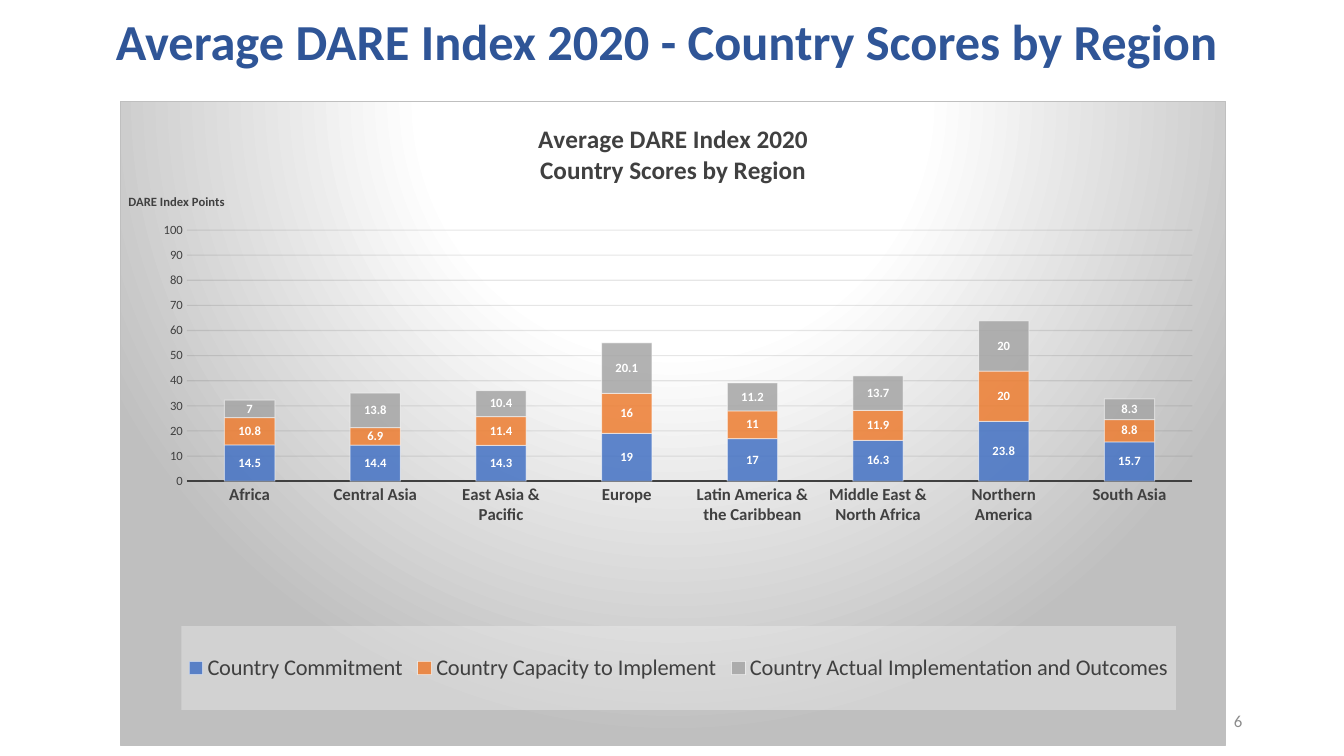
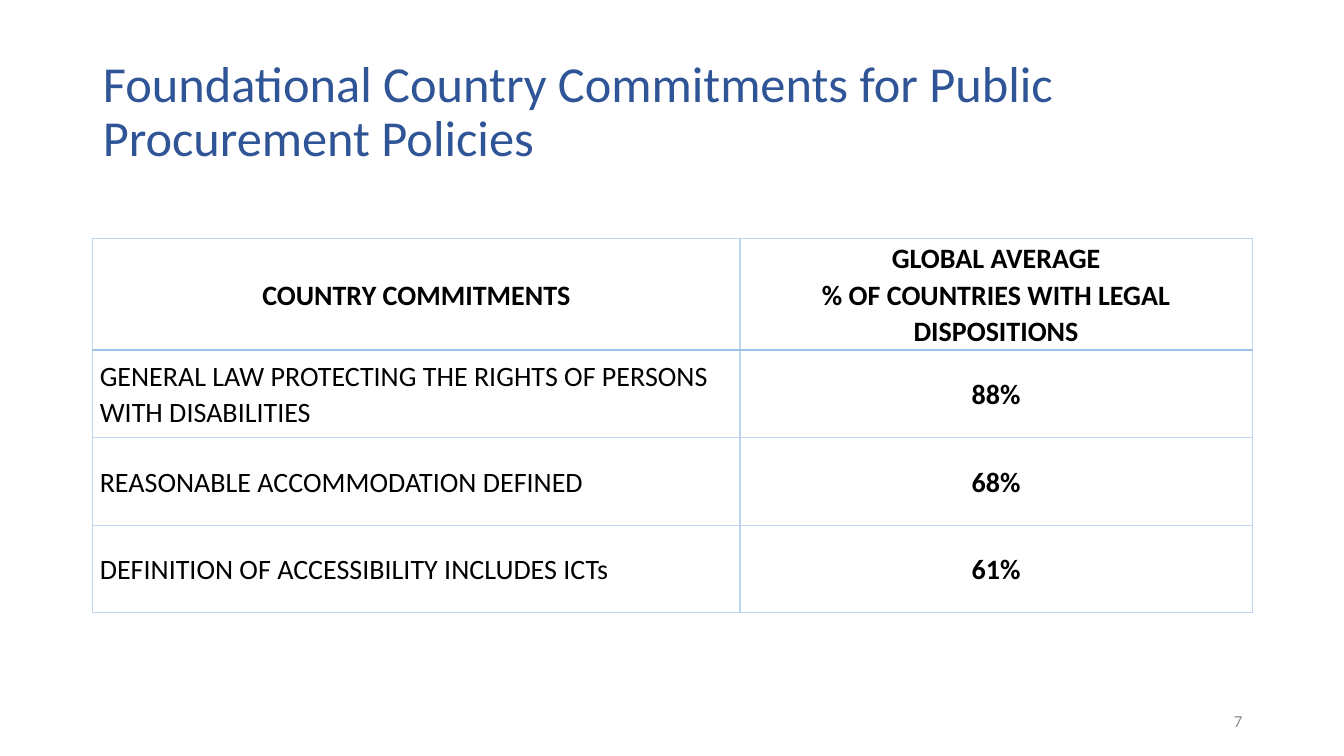
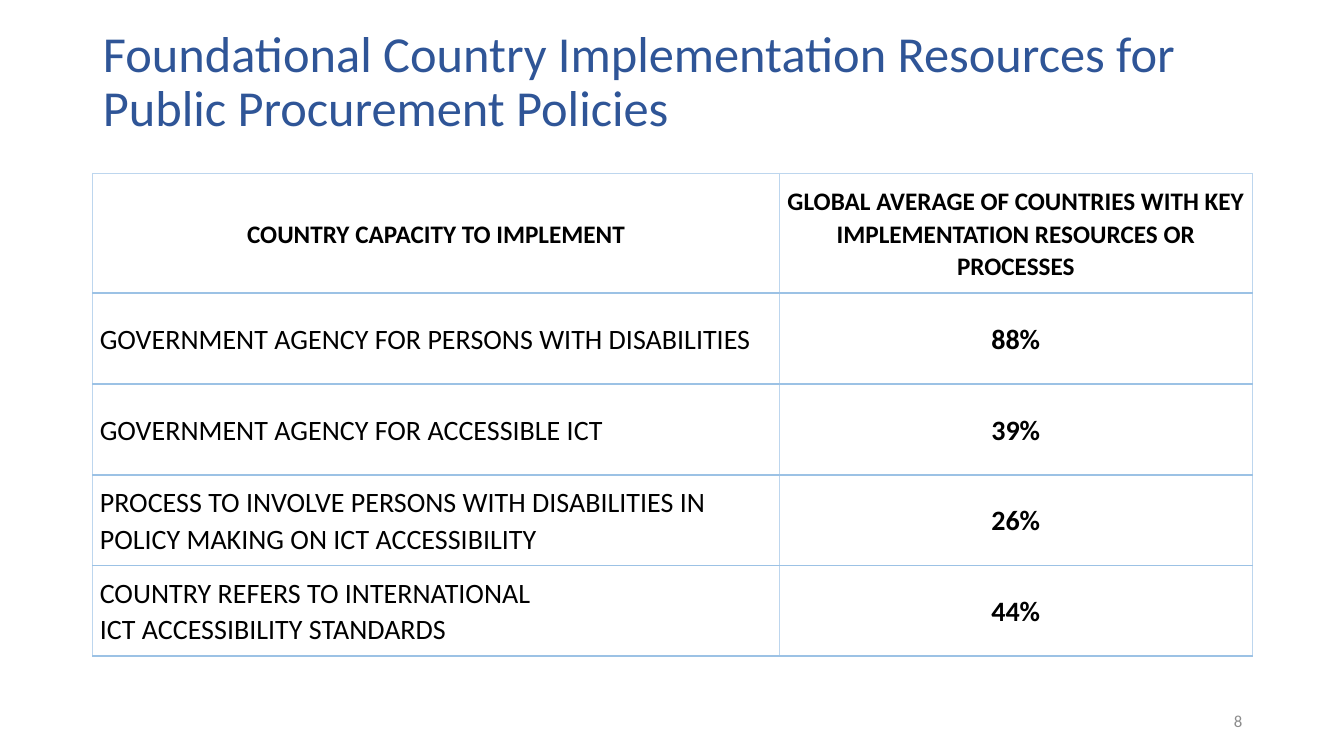
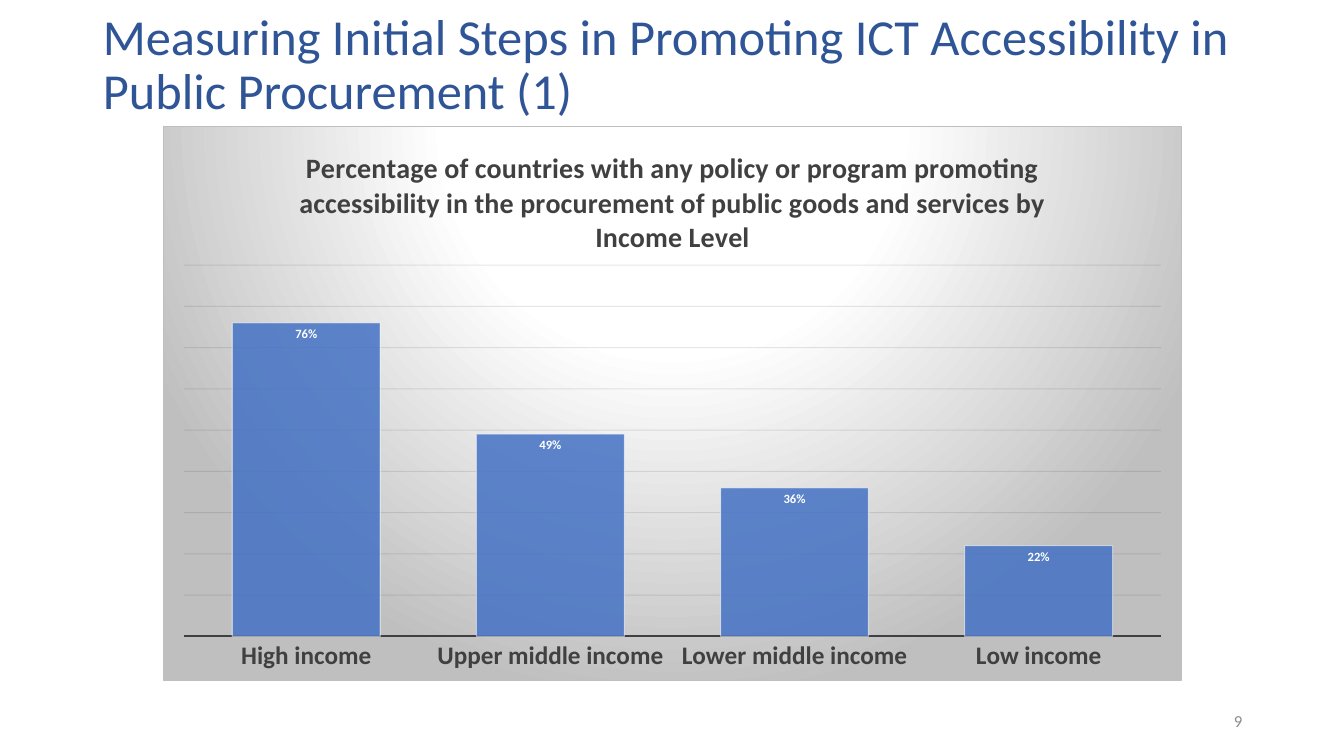
from pptx import Presentation
from pptx import util as u
from pptx.chart.data import CategoryChartData
from pptx.dml.color import RGBColor
from pptx.enum import chart as charts, text
from pptx.oxml import ns, parse_xml

Inches, Pt = u.Inches, u.Pt
FONT = "Calibri"
COLORS = {
    "title": "2F5597", "number": "8C8C8C", "black": "000000", "white": "FFFFFF",
    "chart_text": "404040", "grid": "0D0D0D", "chart_edge": "BFBFBF", "legend": "F2F2F2",
    "pale_rule": "BDD6EE", "strong_rule": "9CC2E5",
}
SERIES_COLORS = ["4472C4", "ED7D31", "A5A5A5"]
THIN_RULE, THICK_RULE = ("pale_rule", 1), ("strong_rule", 1.5)
CENTER, LEFT, RIGHT = text.PP_ALIGN.CENTER, text.PP_ALIGN.LEFT, text.PP_ALIGN.RIGHT


def rgb(name):
    return RGBColor.from_string(COLORS.get(name, name))


def style_font(font, size, color, bold=False):
    font.name, font.size, font.bold = FONT, Pt(size), bold
    font.color.rgb = rgb(color)


def style_text(frame, size, color, bold=False, align=None, spacing=None):
    for paragraph in frame.paragraphs:
        paragraph.alignment = align
        paragraph.line_spacing = spacing
        for run in paragraph.runs:
            style_font(run.font, size, color, bold)


def style_line(line, color, width):
    line.color.rgb = rgb(color)
    line.width = Pt(width)


def set_opacity(element, percent):
    for color in element.iter(ns.qn("a:srgbClr")):
        color.append(parse_xml(f'<a:alpha {ns.nsdecls("a")} val="{percent * 1000}"/>'))


def set_layout(parent, index, x, y, width=None, height=None, inner=False):
    """Place a chart part by fractions of the chart; index is its rank in the parent."""
    for old in parent.findall(ns.qn("c:layout")):
        parent.remove(old)
    parts = '<c:layoutTarget val="inner"/>' if inner else ""
    parts += '<c:xMode val="edge"/><c:yMode val="edge"/>'
    for tag, value in zip("xywh", (x, y, width, height)):
        if value is not None:
            parts += f'<c:{tag} val="{value}"/>'
    parent.insert(index, parse_xml(
        f'<c:layout {ns.nsdecls("c")}><c:manualLayout>{parts}</c:manualLayout></c:layout>'))


def set_border(cell, side, color, width):
    cell._tc.get_or_add_tcPr().append(parse_xml(
        f'<a:ln{side} {ns.nsdecls("a")} w="{Pt(width)}"><a:solidFill>'
        f'<a:srgbClr val="{COLORS[color]}"/></a:solidFill></a:ln{side}>'))


class Deck:
    def __init__(self):
        self.presentation = Presentation()
        self.presentation.slide_width = Inches(13.33)
        self.presentation.slide_height = Inches(7.5)
        self.slide = None

    def add_slide(self, title, number, top, height, left=0.92, width=11.5,
                  align=LEFT, bold=False):
        self.slide = self.presentation.slides.add_slide(self.presentation.slide_layouts[5])
        shape = self.slide.shapes.title
        shape.left, shape.top = Inches(left), Inches(top)
        shape.width, shape.height = Inches(width), Inches(height)
        frame = shape.text_frame
        frame.text = title
        frame.auto_size = text.MSO_AUTO_SIZE.NONE
        frame.vertical_anchor = text.MSO_ANCHOR.MIDDLE
        style_text(frame, 36, "title", bold, align, 0.9)
        self.add_number(number)

    def add_number(self, number):
        box = self.slide.shapes.add_textbox(Inches(9.42), Inches(6.95), Inches(3), Inches(0.4))
        frame = box.text_frame
        frame.word_wrap = True
        frame.vertical_anchor = text.MSO_ANCHOR.MIDDLE
        frame.text = str(number)
        style_text(frame, 12, "number", align=RIGHT)

    def add_table(self, rows, top, column_widths, header_height, row_height,
                  header_size, body_rule):
        table = self.slide.shapes.add_table(
            len(rows), len(column_widths), Inches(0.92), Inches(top),
            Inches(sum(column_widths)),
            Inches(header_height + row_height * (len(rows) - 1))).table
        table.first_row = table.horz_banding = False
        for column, width in zip(table.columns, column_widths):
            column.width = Inches(width)
        for r, row in enumerate(rows):
            header = r == 0
            table.rows[r].height = Inches(header_height if header else row_height)
            top_rule = THIN_RULE if header else THICK_RULE if r == 1 else body_rule
            bottom_rule = THICK_RULE if header else body_rule
            for c, content in enumerate(row):
                cell = table.cell(r, c)
                cell.margin_left = cell.margin_right = Inches(0.07)
                cell.margin_top = cell.margin_bottom = 0
                cell.vertical_anchor = text.MSO_ANCHOR.MIDDLE
                cell.text_frame.text = content
                strong = header or c == 1
                style_text(cell.text_frame, header_size if header else 20, "black",
                           strong, CENTER if strong else LEFT, 1.07)
                for side, rule in zip("LRTB", (THIN_RULE, THIN_RULE, top_rule, bottom_rule)):
                    set_border(cell, side, *rule)
                cell.fill.background()

    def add_column_chart(self, kind, box, title, title_size, categories, series, plot_box,
                         gap, axis_max, axis_step, category_size, label_position,
                         number_format="General"):
        data = CategoryChartData(number_format=number_format)
        data.categories = categories
        for name, values in series.items():
            data.add_series(name, values)
        chart = self.slide.shapes.add_chart(kind, *map(Inches, box), data).chart
        style_font(chart.font, 10, "black")
        chart.has_legend = False
        chart.has_title = True
        chart.chart_title.text_frame.text = title
        style_text(chart.chart_title.text_frame, title_size, "chart_text", True)
        plot = chart.plots[0]
        plot.gap_width = gap
        plot.vary_by_categories = False
        if kind == charts.XL_CHART_TYPE.COLUMN_STACKED:
            plot.overlap = 100
        for item, color in zip(plot.series, SERIES_COLORS):
            item.invert_if_negative = False
            item.format.fill.solid()
            item.format.fill.fore_color.rgb = rgb(color)
            style_line(item.format.line, "white", 0.75)
            labels = item.data_labels
            labels.show_value = True
            labels.position = label_position
            labels.number_format = number_format
            labels.number_format_is_linked = False
            style_font(labels.font, 9, "white", True)

        category_axis, value_axis = chart.category_axis, chart.value_axis
        for axis in (category_axis, value_axis):
            axis.major_tick_mark = axis.minor_tick_mark = charts.XL_TICK_MARK.NONE
        style_font(category_axis.tick_labels.font, category_size, "chart_text", True)
        style_line(category_axis.format.line, "chart_text", 1.5)
        style_font(value_axis.tick_labels.font, 9, "chart_text")
        value_axis.format.line.fill.background()
        value_axis.minimum_scale, value_axis.maximum_scale = 0, axis_max
        value_axis.major_unit = axis_step
        value_axis.has_major_gridlines = True
        style_line(value_axis.major_gridlines.format.line, "grid", 0.75)

        root = chart.element
        for item in root.iter(ns.qn("c:ser")):
            properties = item.find(ns.qn("c:spPr"))
            set_opacity(properties.find(ns.qn("a:solidFill")), 85)
            set_opacity(properties.find(ns.qn("a:ln")), 50)
        for grid in root.iter(ns.qn("c:majorGridlines")):
            set_opacity(grid, 10)
        set_layout(next(root.iter(ns.qn("c:plotArea"))), 0, *plot_box, inner=True)
        self.shade_chart(root)
        return chart

    def shade_chart(self, root):
        """Give the chart its radial grey background and thin border."""
        stops = "".join(
            f'<a:gs pos="{place * 1000}"><a:srgbClr val="{COLORS[color]}"/></a:gs>'
            for place, color in ((0, "white"), (39, "white"), (100, "chart_edge")))
        root.find(ns.qn("c:chart")).addnext(parse_xml(
            f'<c:spPr {ns.nsdecls("c", "a")}><a:gradFill><a:gsLst>{stops}</a:gsLst>'
            '<a:path path="circle"><a:fillToRect l="50000" t="-80000" r="50000" b="180000"/>'
            f'</a:path></a:gradFill><a:ln w="{Pt(0.75)}"><a:solidFill>'
            f'<a:srgbClr val="{COLORS["chart_edge"]}"/></a:solidFill></a:ln></c:spPr>'))

    def add_legend(self, chart, box):
        chart.has_legend = True
        legend = chart.legend
        legend.position = charts.XL_LEGEND_POSITION.BOTTOM
        legend.include_in_layout = False
        style_font(legend.font, 16, "chart_text")
        element = next(chart.element.iter(ns.qn("c:legend")))
        set_layout(element, 1, *box)
        panel = parse_xml(
            f'<c:spPr {ns.nsdecls("c", "a")}><a:solidFill>'
            f'<a:srgbClr val="{COLORS["legend"]}"/></a:solidFill></c:spPr>')
        set_opacity(panel, 39)
        element.find(ns.qn("c:overlay")).addnext(panel)

    def add_value_title(self, chart, title, x, y):
        frame = chart.value_axis.axis_title.text_frame
        frame.text = title
        style_text(frame, 9, "chart_text", True)
        element = next(chart.element.iter(ns.qn("c:valAx"))).find(ns.qn("c:title"))
        body = next(element.iter(ns.qn("a:bodyPr")))
        body.set("rot", "0")
        body.set("vert", "horz")
        set_layout(element, 1, x, y)


def main():
    deck = Deck()

    deck.add_slide("Average DARE Index 2020 - Country Scores by Region", 6, 0.21, 0.45,
                   left=0.2, width=12.83, align=CENTER, bold=True)
    chart = deck.add_column_chart(
        charts.XL_CHART_TYPE.COLUMN_STACKED, (1.19, 1, 10.97, 6.4),
        "Average DARE Index 2020\nCountry Scores by Region", 18,
        ["Africa", "Central Asia", "East Asia & Pacific", "Europe",
         "Latin America & the Caribbean", "Middle East & North Africa",
         "Northern America", "South Asia"],
        {"Country Commitment": [14.5, 14.4, 14.3, 19, 17, 16.3, 23.8, 15.7],
         "Country Capacity to Implement": [10.8, 6.9, 11.4, 16, 11, 11.9, 20, 8.8],
         "Country Actual Implementation and Outcomes":
             [7, 13.8, 10.4, 20.1, 11.2, 13.7, 20, 8.3]},
        plot_box=(0.06, 0.2, 0.91, 0.39), gap=150, axis_max=100, axis_step=10,
        category_size=12, label_position=charts.XL_LABEL_POSITION.CENTER)
    deck.add_legend(chart, (0.055, 0.815, 0.9, 0.13))
    deck.add_value_title(chart, "DARE Index Points", 0.005, 0.14)

    deck.add_slide("Foundational Country Commitments for Public Procurement Policies",
                   7, 0.4, 1.45)
    deck.add_table(
        [("COUNTRY COMMITMENTS", "GLOBAL AVERAGE\n% OF COUNTRIES WITH LEGAL DISPOSITIONS"),
         ("GENERAL LAW PROTECTING THE RIGHTS OF PERSONS WITH DISABILITIES", "88%"),
         ("REASONABLE ACCOMMODATION DEFINED", "68%"),
         ("DEFINITION OF ACCESSIBILITY INCLUDES ICTs", "61%")],
        top=2.37, column_widths=(6.42, 5.08), header_height=1.1, row_height=0.87,
        header_size=20, body_rule=THIN_RULE)

    deck.add_slide("Foundational Country Implementation Resources for Public Procurement "
                   "Policies", 8, 0.1, 1.45)
    deck.add_table(
        [("COUNTRY CAPACITY TO IMPLEMENT",
          "GLOBAL AVERAGE OF COUNTRIES WITH KEY IMPLEMENTATION RESOURCES OR PROCESSES"),
         ("GOVERNMENT AGENCY FOR PERSONS WITH DISABILITIES", "88%"),
         ("GOVERNMENT AGENCY FOR ACCESSIBLE ICT", "39%"),
         ("PROCESS TO INVOLVE PERSONS WITH DISABILITIES IN POLICY MAKING ON "
          "ICT ACCESSIBILITY", "26%"),
         ("COUNTRY REFERS TO INTERNATIONAL\nICT ACCESSIBILITY STANDARDS", "44%")],
        top=1.72, column_widths=(6.81, 4.69), header_height=1.19, row_height=0.9,
        header_size=18, body_rule=THICK_RULE)

    deck.add_slide("Measuring Initial Steps in Promoting ICT Accessibility in Public "
                   "Procurement (1)", 9, 0.22, 0.87)
    deck.add_column_chart(
        charts.XL_CHART_TYPE.COLUMN_CLUSTERED, (1.62, 1.25, 10.1, 5.51),
        "Percentage of countries with any policy or program promoting accessibility in "
        "the procurement of public goods and services by Income Level", 20,
        ["High income", "Upper middle income", "Lower middle income", "Low income"],
        {"Series 1": [0.76, 0.49, 0.36, 0.22]},
        plot_box=(0.02, 0.25, 0.96, 0.67), gap=65, axis_max=0.9, axis_step=0.1,
        category_size=18, label_position=charts.XL_LABEL_POSITION.INSIDE_END,
        number_format="0%").value_axis.visible = False

    deck.presentation.save("out.pptx")


if __name__ == "__main__":
    main()
